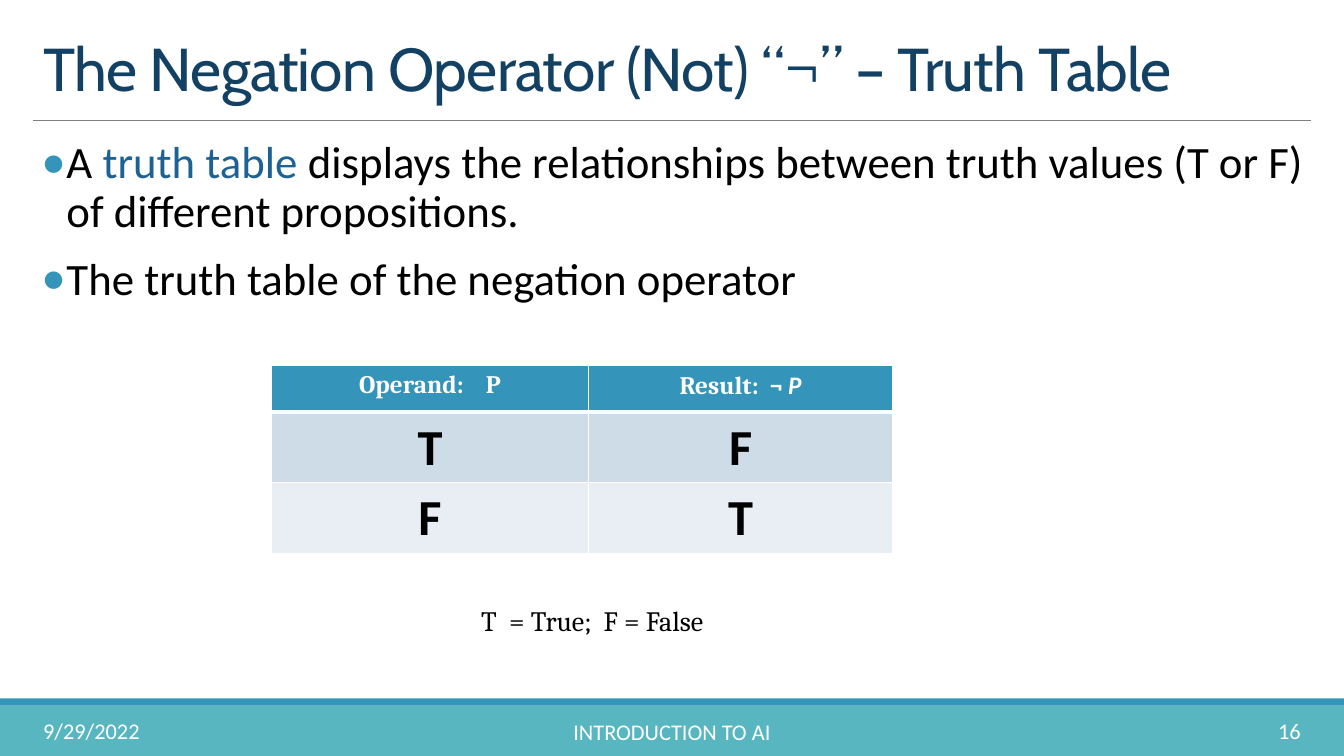
from lxml import etree
from pptx import Presentation
from pptx import util as u
from pptx.dml.color import RGBColor
from pptx.enum import shapes, text
from pptx.oxml import ns

PX = 9144
COLORS = {
    "white": "FFFFFF", "black": "000000", "navy": "134163", "term": "1D6294",
    "blue": "3494BA", "teal": "58B6C0", "gray": "808080",
    "band_dark": "CEDCE7", "band_light": "E8EEF3",
}
LEFT, CENTER, RIGHT = text.PP_ALIGN.LEFT, text.PP_ALIGN.CENTER, text.PP_ALIGN.RIGHT
TOP, MIDDLE, BOTTOM = text.MSO_ANCHOR.TOP, text.MSO_ANCHOR.MIDDLE, text.MSO_ANCHOR.BOTTOM


def px(*lengths):
    return [u.Emu(length * PX) for length in lengths]


def rgb(name):
    return RGBColor.from_string(COLORS[name])


def sub(parent, tag, **attributes):
    return etree.SubElement(parent, ns.qn(tag), attributes)


def style(run, size, font, color, bold=False, italic=False):
    run.font.size = u.Pt(size)
    run.font.name = font
    run.font.color.rgb = rgb(color)
    run.font.bold = bold
    run.font.italic = italic


def add_runs(paragraph, parts, size, align=LEFT):
    paragraph.alignment = align
    for words, *look in parts:
        run = paragraph.add_run()
        run.text = words
        style(run, size, *look)


def add_band(slide, box, color):
    band = slide.shapes.add_shape(shapes.MSO_SHAPE.RECTANGLE, *px(*box))
    band.shadow.inherit = False
    band.fill.solid()
    band.fill.fore_color.rgb = rgb(color)
    band.line.fill.background()


def add_rule(slide, ends):
    rule = slide.shapes.add_connector(shapes.MSO_CONNECTOR.STRAIGHT, *px(*ends))
    rule.line.color.rgb = rgb("gray")
    rule.line.width = u.Pt(0.5)
    sub(rule._element.spPr, "a:effectLst")


def set_title(slide, box, words):
    title = slide.shapes.title
    title.left, title.top, title.width, title.height = px(*box)
    frame = title.text_frame
    frame.text = words
    frame.auto_size = text.MSO_AUTO_SIZE.NONE
    frame.vertical_anchor = BOTTOM
    heading = frame.paragraphs[0]
    heading.alignment = LEFT
    heading.line_spacing = 0.85
    style(heading.runs[0], 43.2, "Cabin", "navy")
    heading.runs[0].font._element.set("spc", "-50")


def add_text(slide, box, parts, size, align=LEFT, anchor=MIDDLE):
    frame = slide.shapes.add_textbox(*px(*box)).text_frame
    frame.word_wrap = True
    frame.vertical_anchor = anchor
    add_runs(frame.paragraphs[0], parts, size, align)


def add_bullets(slide, box, items):
    frame = slide.shapes.add_textbox(*px(*box)).text_frame
    frame.word_wrap = True
    frame.margin_left = frame.margin_right = 0
    for index, parts in enumerate(items):
        bullet = frame.add_paragraph() if index else frame.paragraphs[0]
        add_runs(bullet, parts, 32)
        bullet.line_spacing = 0.9
        bullet.space_before, bullet.space_after = u.Pt(12), u.Pt(2)
        props = bullet._p.get_or_add_pPr()
        props.set("marL", str(33 * PX))
        props.set("indent", str(-25 * PX))
        sub(sub(props, "a:buClr"), "a:srgbClr", val=COLORS["blue"])
        sub(props, "a:buSzPct", val="110000")
        sub(props, "a:buFont", typeface="Calibri")
        sub(props, "a:buChar", char="•")


def set_borders(cell, widths):
    props = cell._tc.get_or_add_tcPr()
    for index, (side, points) in enumerate(widths.items()):
        border = sub(props, f"a:ln{side}", w=str(u.Pt(points)))
        sub(sub(border, "a:solidFill"), "a:srgbClr", val=COLORS["white"])
        props.insert(index, border)


def add_truth_table(slide, box, columns, heights, rows):
    table = slide.shapes.add_table(len(rows), len(columns), *px(*box)).table
    for column, width in zip(table.columns, px(*columns)):
        column.width = width
    for row, height in zip(table.rows, px(*heights)):
        row.height = height
    fills = ["blue", "band_dark", "band_light"]
    for r, (cells, fill) in enumerate(zip(rows, fills)):
        for c, parts in enumerate(cells):
            cell = table.cell(r, c)
            add_runs(cell.text_frame.paragraphs[0], parts, 36 if r else 18, CENTER)
            cell.fill.solid()
            cell.fill.fore_color.rgb = rgb(fill)
            set_borders(cell, {"L": 1, "R": 1, "T": 3 if r == 1 else 1, "B": 1 if r else 3})


def main():
    deck = Presentation()
    deck.slide_width, deck.slide_height = px(1333, 750)
    slide = deck.slides.add_slide(deck.slide_layouts[5])

    add_band(slide, (0, 700, 1333, 50), "teal")
    add_band(slide, (0, 693, 1333, 7), "blue")
    add_rule(slide, (33, 119, 1300, 119))
    set_title(slide, (33, 31, 1267, 77), "The Negation Operator (Not) “¬” – Truth Table")

    body = ("Calibri", "black")
    add_bullets(slide, (33, 134, 1267, 549), [
        [("A ", *body), ("truth table ", "Calibri", "term"),
         ("displays the relationships between truth values (T or F) of different propositions.", *body)],
        [("The truth table of the negation operator", *body)],
    ])

    header = ("Cambria", "white", True)
    symbol = ("Calibri", "white", True)
    true, false = [[(value, *body, True)] for value in "TF"]
    add_truth_table(slide, (269, 363, 616, 186), (315, 301), (46, 70, 70), [
        [[("Operand:    P", *header)],
         [("Result:  ", *header), ("¬ ", *symbol), ("P", *symbol, True)]],
        [true, false],
        [false, true],
    ])
    add_text(slide, (462, 594, 251, 44), [("T  = True;  F = False", "Cambria", "black")],
             20, CENTER, TOP)

    for box, words, align in [
        ((33, 705, 270, 40), "9/29/2022", LEFT),
        ((403, 706, 527, 40), "INTRODUCTION TO AI", CENTER),
        ((1157, 705, 143, 40), "16", RIGHT),
    ]:
        add_text(slide, box, [(words, "Calibri", "white")], 16, align)

    deck.save("out.pptx")


if __name__ == "__main__":
    main()
